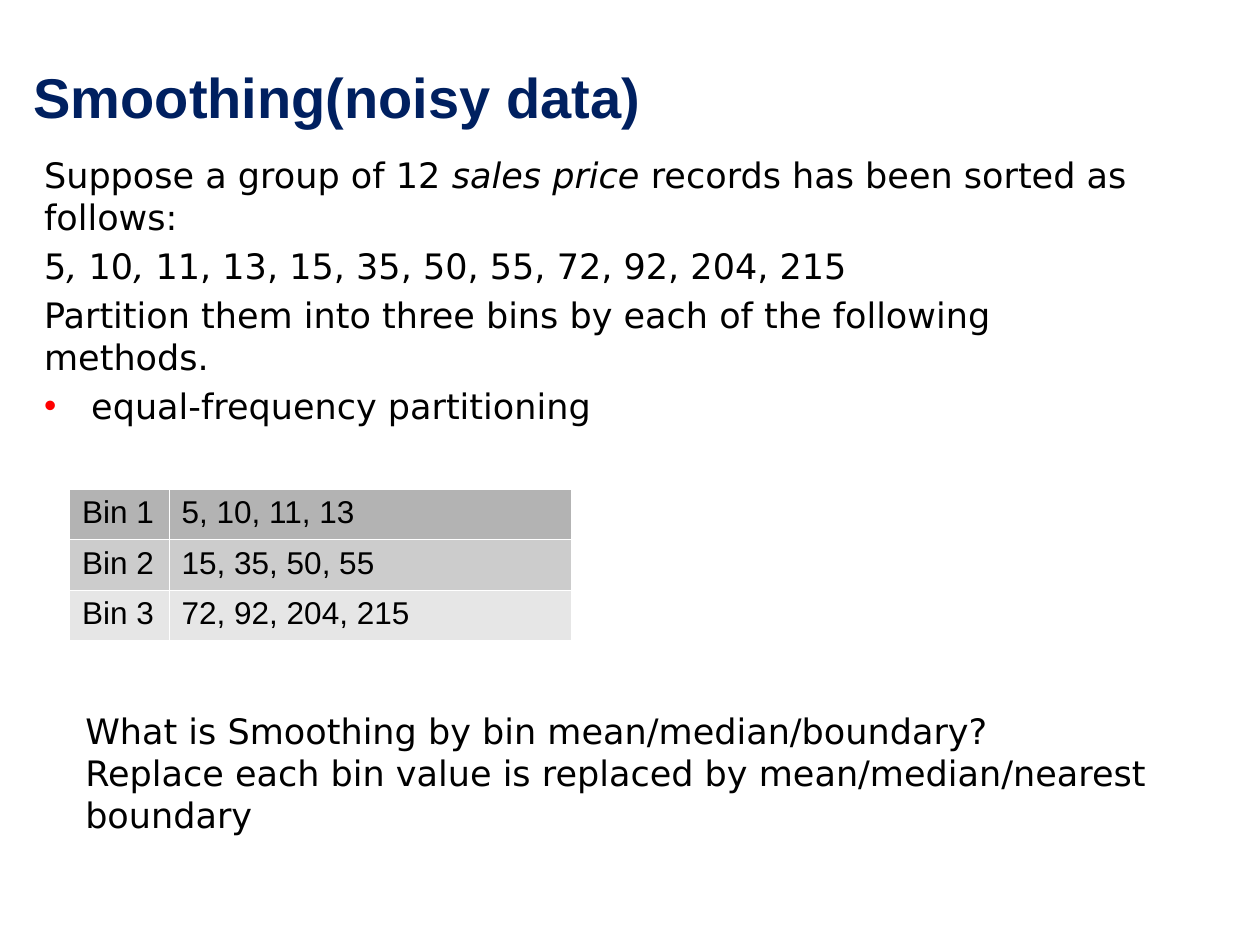
from lxml import etree
from pptx import Presentation
from pptx import util as u
from pptx.dml import color
from pptx.enum import text
from pptx.oxml import ns


def paint(value):
    return color.RGBColor.from_string(value)


def write(paragraph, parts, **values):
    for index, part in enumerate(parts):
        run = paragraph.add_run()
        run.text = part
        run.font.color.rgb = paint(values["color"])
        for name, value in values["font"].items():
            setattr(run.font, name, value)
        if index % 2:
            run.font.italic = True


deck = Presentation()
deck.slide_width, deck.slide_height = u.Cm(25.4), u.Cm(19.05)
slide = deck.slides.add_slide(deck.slide_layouts[6])

heading_format = {"name": "Arial", "size": u.Pt(32), "bold": True}
body_format = {"name": "DejaVu Sans", "size": u.Pt(20)}
bin_format = {"name": "Arial", "size": u.Pt(18)}

exercise = [
    ["Suppose a group of 12 ", "sales price ", "records has been sorted as follows:"],
    ["5", ", ", "10", ", ", "11, 13, 15, 35, 50, 55, 72, 92, 204, 215"],
    ["Partition them into three bins by each of the following methods."],
    ["equal-frequency partitioning"],
]
question = [
    ["What is Smoothing by bin mean/median/boundary?"],
    ["Replace each bin value is replaced by mean/median/nearest boundary"],
]
sections = [
    ((0.43, 0.43, 21.8, 2.31), [["Smoothing(noisy data)"]], heading_format, "002060", 0, text.MSO_ANCHOR.BOTTOM),
    ((0.64, 2.97, 22.7, 15.44), exercise, body_format, "000000", 4, text.MSO_ANCHOR.TOP),
    ((1.47, 14.17, 22, 2.8), question, body_format, "000000", 0, text.MSO_ANCHOR.TOP),
]
for place, lines, font, ink, gap, anchor in sections:
    frame = slide.shapes.add_textbox(*map(u.Cm, place)).text_frame
    frame.word_wrap = True
    frame.vertical_anchor = anchor
    for index, parts in enumerate(lines):
        paragraph = frame.add_paragraph() if index else frame.paragraphs[0]
        paragraph.space_before = u.Pt(gap if index else 0)
        if parts == exercise[-1]:
            properties = paragraph._p.get_or_add_pPr()
            properties.set("marL", str(u.Cm(0.95)))
            properties.set("indent", str(u.Cm(-0.95)))
            bullet_color = etree.SubElement(properties, ns.qn("a:buClr"))
            etree.SubElement(bullet_color, ns.qn("a:srgbClr"), val="FF0000")
            etree.SubElement(properties, ns.qn("a:buFont"), typeface="Arial")
            etree.SubElement(properties, ns.qn("a:buChar"), char="•")
        write(paragraph, parts, font=font, color=ink)

bins = [
    ("Bin 1", "5, 10, 11, 13", "B3B3B3"),
    ("Bin 2", "15, 35, 50, 55", "CCCCCC"),
    ("Bin 3", "72, 92, 204, 215", "E6E6E6"),
]
bin_table = slide.shapes.add_table(len(bins), 2, u.Cm(1.4), u.Cm(9.86), u.Cm(10.11), u.Cm(3.03)).table
for column, width in zip(bin_table.columns, (2.01, 8.1)):
    column.width = u.Cm(width)
for row, (label, prices, shade) in enumerate(bins):
    for column, content in enumerate((label, prices)):
        cell = bin_table.cell(row, column)
        write(cell.text_frame.paragraphs[0], [content], font=bin_format, color="000000")
        cell_properties = cell._tc.get_or_add_tcPr()
        for side in ("lnL", "lnR", "lnT", "lnB"):
            border = etree.SubElement(cell_properties, ns.qn(f"a:{side}"), w="762")
            border_fill = etree.SubElement(border, ns.qn("a:solidFill"))
            etree.SubElement(border_fill, ns.qn("a:srgbClr"), val="FFFFFF")
        cell.fill.solid()
        cell.fill.fore_color.rgb = paint(shade)
        if row == 0:
            cell.text_frame.paragraphs[0].runs[0].font.bold = False

deck.save("out.pptx")
